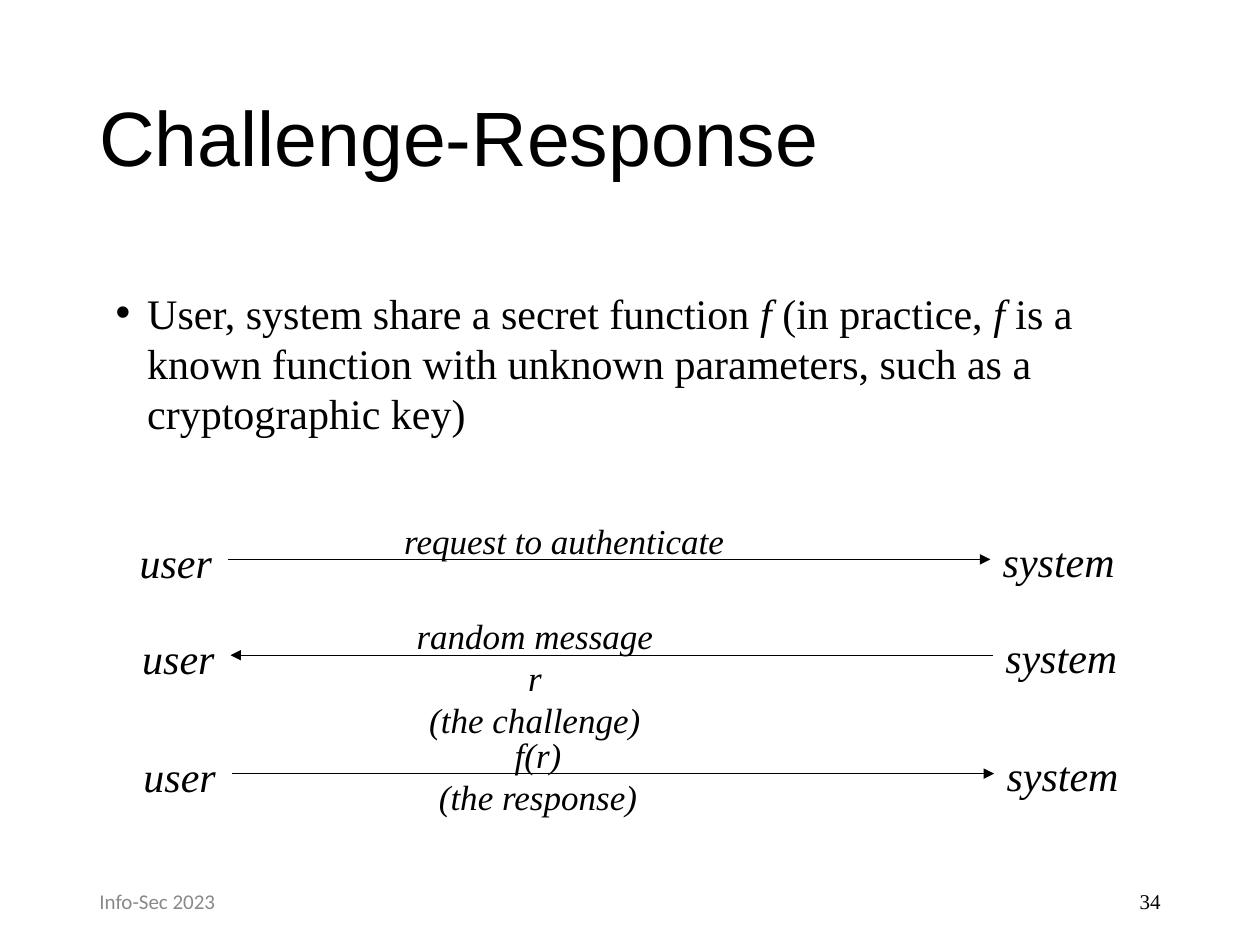
from lxml import etree
from pptx import Presentation
from pptx.dml.color import RGBColor
from pptx.enum.shapes import MSO_CONNECTOR
from pptx.enum.text import MSO_ANCHOR, PP_ALIGN
from pptx.oxml.ns import qn
from pptx.util import Inches, Pt

LINE = MSO_CONNECTOR.STRAIGHT
TOP, MID = MSO_ANCHOR.TOP, MSO_ANCHOR.MIDDLE
LEFT, CENTER, RIGHT = PP_ALIGN.LEFT, PP_ALIGN.CENTER, PP_ALIGN.RIGHT

COLORS = {"ink": "000000", "gray": "898989"}
SERIF = "Times New Roman"
TITLE = {"name": "Arial", "size": Pt(44)}
BODY = {"name": SERIF, "size": Pt(24)}
ACTOR = {**BODY, "italic": True}
NOTE = {**ACTOR, "size": Pt(20)}
FOOT = {"name": "Calibri", "size": Pt(12)}
PAGE = {**FOOT, "name": SERIF}

STEPS = [
    (1.01, 4.21, "tailEnd", (3.11, 2.75, 0.43), LEFT,
     ["request to authenticate"]),
    (1.03, 4.97, "headEnd", (3.12, 2.25, 0.77), CENTER,
     ["random message r", "(the challenge)"]),
    (1.04, 5.91, "tailEnd", (3.38, 1.78, 0.77), CENTER,
     ["f(r)", "(the response)"]),
]


def add_run(para, text, style, color="ink"):
    run = para.add_run()
    run.text = text
    for key, value in style.items():
        setattr(run.font, key, value)
    run.font.color.rgb = RGBColor.from_string(COLORS[color])


def add_box(slide, place, anchor=TOP, wrap=True):
    box = slide.shapes.add_textbox(*map(Inches, place))
    frame = box.text_frame
    frame.word_wrap = wrap
    frame.vertical_anchor = anchor
    return frame


def add_text(slide, place, lines, style, align=LEFT, color="ink",
             anchor=TOP, wrap=True):
    frame = add_box(slide, place, anchor, wrap)
    for i, line in enumerate(lines):
        para = frame.add_paragraph() if i else frame.paragraphs[0]
        para.alignment = align
        add_run(para, line, style, color)
    return frame


def add_bullet(slide, place, parts):
    para = add_box(slide, place).paragraphs[0]
    props = para._p.get_or_add_pPr()
    props.set("marL", str(Inches(0.25)))
    props.set("indent", str(-Inches(0.25)))
    etree.SubElement(props, qn("a:buFont"), typeface="Arial")
    etree.SubElement(props, qn("a:buChar"), char="•")
    for text, slant in parts:
        add_run(para, text, {**BODY, "italic": slant})


def add_arrow(slide, left, right, y, end):
    arrow = slide.shapes.add_connector(
        LINE, Inches(left), Inches(y), Inches(right), Inches(y))
    arrow.line.color.rgb = RGBColor.from_string(COLORS["ink"])
    arrow.line.width = Pt(0.75)
    etree.SubElement(arrow.line._get_or_add_ln(), qn("a:" + end),
                     type="triangle")
    etree.SubElement(arrow._element.spPr, qn("a:effectLst"))


def add_step(slide, left, top, end, note, align, lines):
    add_text(slide, (left, top, 0.78, 0.5), ["user"], ACTOR, wrap=False)
    add_text(slide, (left + 6.85, top - 0.01, 1.09, 0.5), ["system"], ACTOR,
             wrap=False)
    add_arrow(slide, left + 0.8, left + 6.85, top + 0.23, end)
    x, width, height = note
    add_text(slide, (x, top - 0.14, width, height), lines, NOTE, align)


def main():
    deck = Presentation()
    deck.slide_width, deck.slide_height = Inches(10), Inches(7.5)
    slide = deck.slides.add_slide(deck.slide_layouts[6])
    add_text(slide, (0.69, 6.95, 2.25, 0.4), ["Info-Sec 2023"], FOOT,
             color="gray", anchor=MID)
    add_text(slide, (7.06, 6.95, 2.25, 0.4), ["34"], PAGE, RIGHT, anchor=MID)
    title = add_text(slide, (0.69, 0.4, 8.62, 1.45), ["Challenge-Response"],
                     TITLE, anchor=MID)
    title.paragraphs[0].line_spacing = 0.9
    add_bullet(slide, (0.82, 2.23, 7.81, 1.3), [
        ("User, system share a secret function ", False),
        ("f", True),
        (" (in practice, ", False),
        ("f", True),
        (" is a known function with unknown parameters, such as a "
         "cryptographic key)", False),
    ])
    for step in STEPS:
        add_step(slide, *step)
    deck.save("out.pptx")


if __name__ == "__main__":
    main()
